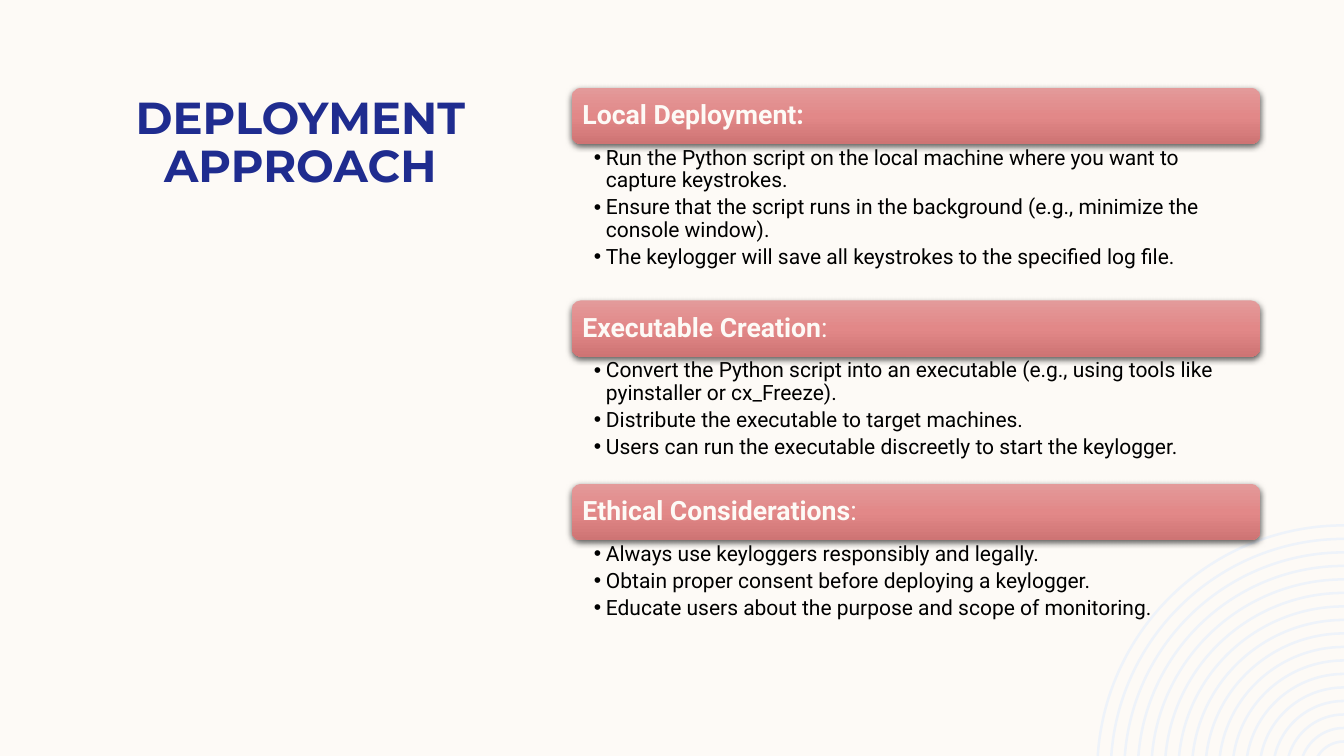
"""Build the deployment approach slide."""
import copy
import math

import pptx
import pptx.dml.color
import pptx.enum.shapes
import pptx.enum.text
import pptx.oxml
import pptx.oxml.ns
import pptx.util
import lxml.etree

Inches = pptx.util.Inches
Pt = pptx.util.Pt
qn = pptx.oxml.ns.qn
ANCHOR = pptx.enum.text.MSO_ANCHOR
ALIGN = pptx.enum.text.PP_ALIGN

TITLE = "DEPLOYMENT APPROACH"
SECTIONS = [
    {"heading": [("Local Deployment:", True)], "list_height": 1.55, "points": [
        "Run the Python script on the local machine where you want to capture keystrokes.",
        "Ensure that the script runs in the background (e.g., minimize the console window).",
        "The keylogger will save all keystrokes to the specified log file.",
    ]},
    {"heading": [("Executable Creation", True), (":", False)], "list_height": 1.26, "points": [
        "Convert the Python script into an executable (e.g., using tools like "
        "pyinstaller or cx_Freeze).",
        "Distribute the executable to target machines.",
        "Users can run the executable discreetly to start the keylogger.",
    ]},
    {"heading": [("Ethical Considerations", True), (":", False)], "list_height": 0.99, "points": [
        "Always use keyloggers responsibly and legally.",
        "Obtain proper consent before deploying a keylogger.",
        "Educate users about the purpose and scope of monitoring.",
    ]},
]

THEME = {
    "background": "FDFAF6",
    "rings": "EEF3FA",
    "bar": [(0, "E39A9A"), (0.5, "E28888"), (1, "CE7474")],
    "title": {"name": "Montserrat", "size": 32, "color": "1F2C8F", "bold": True},
    "heading": {"name": "Roboto", "size": 19, "color": "FDFAF6"},
    "point": {"name": "Roboto", "size": 15, "color": "000000", "bold": False},
    "bullet": "Arial",
}
PAGE = (13.33, 7.5)
TITLE_BOX = (0.83, 0.83, 4.3, 1.67)
STACK = {"left": 5.67, "top": 0.87, "width": 6.83, "bar_height": 0.56}
RINGS = {"count": 17, "center_y": 7.66, "radius": 2.46, "step": 0.134, "band": 0.025}


def rgb(code):
    """Return a colour from its hexadecimal code."""
    return pptx.dml.color.RGBColor.from_string(code)


def apply(target, values):
    """Set every attribute named in the values."""
    for name, value in values.items():
        setattr(target, name, value)


def add_span(para, text, style, **extra):
    """Add a run of styled text."""
    span = para.add_run()
    span.text = text
    values = {**style, **extra}
    span.font.color.rgb = rgb(values.pop("color"))
    values["size"] = Pt(values["size"])
    apply(span.font, values)


def format_frame(frame, anchor, insets):
    """Set wrapping, anchor and insets of a text frame."""
    sides = ("margin_left", "margin_top", "margin_right", "margin_bottom")
    apply(frame, {
        "word_wrap": True,
        "auto_size": pptx.enum.text.MSO_AUTO_SIZE.NONE,
        "vertical_anchor": anchor,
        **dict(zip(sides, map(Inches, insets))),
    })


def arc_points(radius):
    """Return the ends and handles of the curve from the bottom to the right edge."""
    right, bottom = PAGE
    rise = RINGS["center_y"] - bottom
    start = math.asin(rise / radius)
    handle = radius * 4 / 3 * math.tan((math.pi / 2 - start) / 4)
    left, top = right - radius * math.cos(start), RINGS["center_y"] - radius
    corners = [
        (left, bottom),
        (left + handle * math.sin(start), bottom - handle * math.cos(start)),
        (right - handle, top),
        (right, top),
    ]
    return [(Inches(x), Inches(y)) for x, y in corners]


def curve_lines(shape):
    """Turn the straight segments on both sides of every band into curves."""
    lines = shape._element.spPr.findall(".//" + qn("a:lnTo"))
    for first in range(0, len(lines), 7):
        for begin in (first, first + 4):
            group = lines[begin:begin + 3]
            curve = lxml.etree.Element(qn("a:cubicBezTo"))
            group[0].addprevious(curve)
            for line in group:
                curve.append(line[0])
                line.getparent().remove(line)


def add_rings(page):
    """Draw the concentric arcs in the lower right corner."""
    builder = None
    for index in range(RINGS["count"]):
        radius = RINGS["radius"] - index * RINGS["step"]
        outline = arc_points(radius) + arc_points(radius - RINGS["band"])[::-1]
        if builder is None:
            builder = page.shapes.build_freeform(*outline[0])
        else:
            builder.move_to(*outline[0])
        builder.add_line_segments(outline[1:], close=True)
    rings = builder.convert_to_shape()
    curve_lines(rings)
    rings.shadow.inherit = False
    rings.fill.solid()
    rings.fill.fore_color.rgb = rgb(THEME["rings"])
    rings.line.fill.background()


def add_bar(page, top, heading):
    """Add a shaded heading bar."""
    bar = page.shapes.add_shape(
        pptx.enum.shapes.MSO_SHAPE.ROUNDED_RECTANGLE,
        *map(Inches, (STACK["left"], top, STACK["width"], STACK["bar_height"])))
    bar.line.fill.background()
    bar.fill.gradient()
    bar.fill.gradient_angle = 270
    first_stop = bar._element.spPr.find(".//" + qn("a:gs"))
    first_stop.addnext(copy.deepcopy(first_stop))
    for stop, (position, color) in zip(bar.fill.gradient_stops, THEME["bar"]):
        stop.position = position
        stop.color.rgb = rgb(color)
    bar.shadow.inherit = False
    effects = bar._element.spPr.find(qn("a:effectLst"))
    effects.append(pptx.oxml.parse_xml(
        f'<a:outerShdw {pptx.oxml.ns.nsdecls("a")} blurRad="{Pt(4.5)}" dist="{Pt(1.5)}" '
        'dir="5400000" algn="ctr" rotWithShape="0"><a:srgbClr val="000000">'
        '<a:alpha val="63000"/></a:srgbClr></a:outerShdw>'))
    format_frame(bar.text_frame, ANCHOR.MIDDLE, (0.08, 0.08, 0.08, 0.08))
    para = bar.text_frame.paragraphs[0]
    apply(para, {"alignment": ALIGN.LEFT, "line_spacing": 0.9})
    for text, bold in heading:
        add_span(para, text, THEME["heading"], bold=bold)


def add_points(page, top, height, points):
    """Add the bulleted list under a bar."""
    box = page.shapes.add_textbox(*map(Inches, (STACK["left"], top, STACK["width"], height)))
    frame = box.text_frame
    format_frame(frame, ANCHOR.TOP, (0.22, 0.03, 0.15, 0.03))
    for index, text in enumerate(points):
        para = frame.add_paragraph() if index else frame.paragraphs[0]
        apply(para, {"level": 1, "line_spacing": 0.9, "space_after": Pt(3)})
        properties = para._p.get_or_add_pPr()
        properties.set("marL", str(Inches(0.12)))
        properties.set("indent", str(Inches(-0.12)))
        for tag, name, value in (("a:buFont", "typeface", THEME["bullet"]),
                                 ("a:buChar", "char", "•")):
            lxml.etree.SubElement(properties, qn(tag)).set(name, value)
        add_span(para, text, THEME["point"])


def add_title(page):
    """Fill and place the title."""
    title = page.shapes.title
    apply(title, dict(zip(("left", "top", "width", "height"), map(Inches, TITLE_BOX))))
    format_frame(title.text_frame, ANCHOR.BOTTOM, (0.1, 0.05, 0.1, 0.59))
    para = title.text_frame.paragraphs[0]
    apply(para, {"alignment": ALIGN.CENTER, "line_spacing": 0.9})
    add_span(para, TITLE, THEME["title"])


def main():
    """Build and save the deck."""
    deck = pptx.Presentation()
    apply(deck, dict(zip(("slide_width", "slide_height"), map(Inches, PAGE))))
    page = deck.slides.add_slide(deck.slide_layouts.get_by_name("Title Only"))
    page.background.fill.solid()
    page.background.fill.fore_color.rgb = rgb(THEME["background"])
    add_rings(page)
    add_title(page)
    top = STACK["top"]
    for section in SECTIONS:
        add_bar(page, top, section["heading"])
        top += STACK["bar_height"]
        add_points(page, top, section["list_height"], section["points"])
        top += section["list_height"]
    deck.save("out.pptx")


if __name__ == "__main__":
    main()
